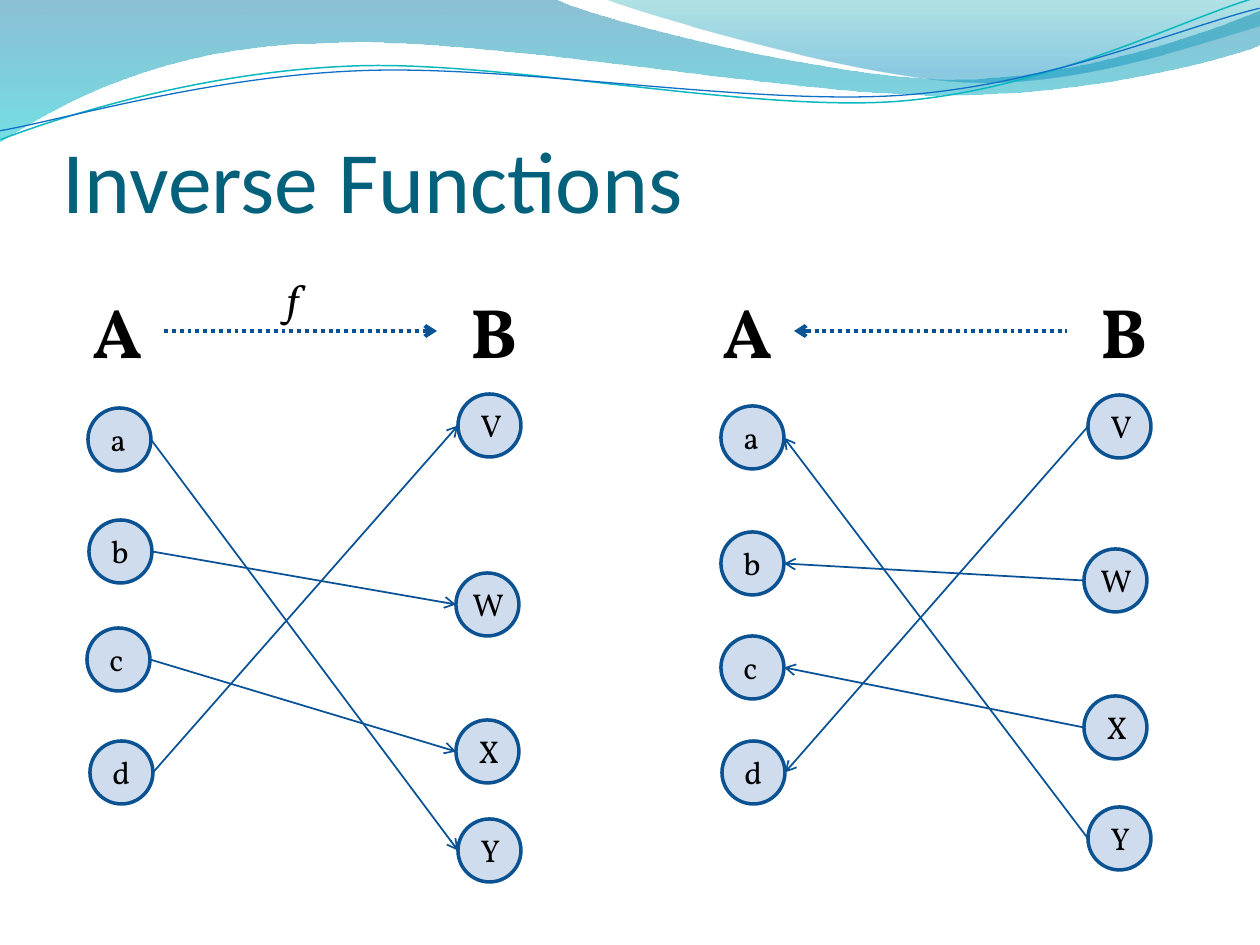
import pptx
import pptx.dml.color
import pptx.enum.dml
import pptx.enum.shapes
import pptx.enum.text
import pptx.oxml
import pptx.oxml.ns
import pptx.util

EMU_PER_PX = 914400 / 126
WIDTH, HEIGHT = 1260, 945
NODE = 63  # circle diameter


def px(value):
    return pptx.util.Emu(round(value * EMU_PER_PX))


def color(hex_string):
    return pptx.dml.color.RGBColor.from_string(hex_string)


def add_xml(parent, tag, **attributes):
    element = pptx.oxml.parse_xml(f"<a:{tag} {pptx.oxml.ns.nsdecls('a')}/>")
    for name, value in attributes.items():
        element.set(name, str(value))
    parent.append(element)
    return element


def set_opacity(shape, percents):
    """Give each fill colour of the shape its opacity, in order."""
    colors = shape._element.spPr.xpath("./a:solidFill/a:srgbClr | ./a:gradFill//a:srgbClr")
    for element, percent in zip(colors, percents):
        add_xml(element, "alpha", val=percent * 1000)


def write(text_frame, text, font="Vollkorn", size=18, fill="000000", bold=False, italic=False):
    paragraph = text_frame.paragraphs[0]
    run = paragraph.add_run()
    run.text = text
    run.font.name = font
    run.font.size = pptx.util.Pt(size)
    run.font.color.rgb = color(fill)
    run.font.bold = bold
    run.font.italic = italic


def bend(shape, segments):
    """Turn each run of three lines that stands for a curve into a cubic curve."""
    lines = iter(shape._element.spPr.xpath(".//a:path/a:lnTo"))
    for segment in segments:
        pieces = [next(lines) for _ in range(len(segment) // 2)]
        if len(pieces) == 3:
            curve = add_xml(pieces[0].getparent(), "cubicBezTo")
            pieces[0].addprevious(curve)
            for piece in pieces:
                curve.append(piece[0])
                piece.getparent().remove(piece)


class SlideBuilder:
    node_fill, node_line, arrow_line = "4F81BD", "0B5292", "095295"

    def __init__(self, slide):
        self.slide = slide

    def outline(self, start, segments, close):
        """Path of segments; two numbers are a line, six a cubic curve."""
        points = [(px(x), px(y)) for segment in segments
                  for x, y in zip(segment[::2], segment[1::2])]
        builder = self.slide.shapes.build_freeform(*map(px, start), scale=1.0)
        builder.add_line_segments(points, close=close)
        shape = builder.convert_to_shape()
        bend(shape, segments)
        shape.shadow.inherit = False
        return shape

    def wave(self, start, segments, stops):
        """Filled wave; stops are (position, colour, opacity)."""
        shape = self.outline(start, segments, close=True)
        shape.line.fill.background()
        shape.fill.gradient()
        shape.fill.gradient_angle = 270
        for stop, (position, hex_string, _) in zip(shape.fill.gradient_stops, stops):
            stop.color.rgb = color(hex_string)
            stop._gs.set("pos", str(position * 1000))
        set_opacity(shape, [opacity for _, _, opacity in stops])

    def ripple(self, start, segments, hex_string, width):
        shape = self.outline(start, segments, close=False)
        shape.rotation = 357.3
        shape.fill.background()
        shape.line.color.rgb = color(hex_string)
        shape.line.width = pptx.util.Pt(width)

    def text(self, left, top, width, height, text, **style):
        box = self.slide.shapes.add_textbox(px(left), px(top), px(width), px(height))
        box.text_frame.word_wrap = True
        write(box.text_frame, text, **style)
        return box.text_frame

    def title(self, text):
        frame = self.text(63, 74, 1134, 157, text, font="Calibri", size=50, fill="04617B")
        frame.margin_left = frame.margin_right = frame.margin_bottom = 0
        frame.vertical_anchor = pptx.enum.text.MSO_ANCHOR.BOTTOM

    def node(self, left, top, label):
        circle = self.slide.shapes.add_shape(
            pptx.enum.shapes.MSO_SHAPE.FLOWCHART_CONNECTOR, px(left), px(top), px(NODE), px(NODE))
        circle.shadow.inherit = False
        circle.fill.solid()
        circle.fill.fore_color.rgb = color(self.node_fill)
        set_opacity(circle, [27])
        circle.line.color.rgb = color(self.node_line)
        circle.line.width = pptx.util.Pt(2)
        inset = 4 if label == "W" else 10
        self.text(left + inset, top + 6, NODE - 2 * inset, 50, label)

    def arrow(self, start, end, arrowhead, width=1, dotted=False):
        """Line with its arrowhead at headEnd (start) or tailEnd (end)."""
        connector = self.slide.shapes.add_connector(
            pptx.enum.shapes.MSO_CONNECTOR.STRAIGHT, *map(px, start + end))
        connector.line.color.rgb = color(self.arrow_line)
        connector.line.width = pptx.util.Pt(width)
        if dotted:
            connector.line.dash_style = pptx.enum.dml.MSO_LINE.ROUND_DOT
        add_xml(connector.line._get_or_add_ln(), arrowhead, type="arrow")
        add_xml(connector._element.spPr, "effectLst")

    def mapping(self, left, set_a, set_b, pairs, arrowhead):
        """Sets A and B with their nodes and the arrows between them."""
        for offset, name in ((0, "A"), (378, "B")):
            self.text(left + offset, 282, 95, 97, name, size=40, bold=True)
        for label, (x, y) in (set_a | set_b).items():
            self.node(x, y, label)
        for source, target in pairs:
            (x1, y1), (x2, y2) = set_a[source], set_b[target]
            self.arrow((x1 + NODE, y1 + NODE / 2), (x2, y2 + NODE / 2), arrowhead)
        self.arrow((left + 84, 331), (left + 357, 331), arrowhead, width=2.25, dotted=True)


def main():
    presentation = pptx.Presentation()
    presentation.slide_width, presentation.slide_height = px(WIDTH), px(HEIGHT)
    builder = SlideBuilder(presentation.slides.add_slide(presentation.slide_layouts[6]))

    # Wave decoration along the top
    builder.wave(
        (0, 0),
        [(554, -1), (600, 21, 837, 79, 955, 79), (1075, 79, 1207, 33, 1260, 11), (1261, 45),
         (1239, 55, 1096, 96, 940, 95), (784, 95, 481, 35, 324, 43), (163, 45, 58, 105, -1, 142)],
        [(0, "0074A1", 45), (100, "00C6CF", 55)])
    builder.wave(
        (604, -1),
        [(641, 14, 859, 78, 969, 82), (1079, 87, 1211, 40, 1260, 26), (1260, 0)],
        [(0, "00A1A9", 30), (80, "008BBF", 45)])
    builder.ripple(
        (-2, 110),
        [(59, 90, 199, 52, 350, 53), (499, 53, 745, 118, 896, 114), (1049, 109, 1184, 45, 1260, 27)],
        "0AB8BF", 0.85)
    builder.ripple(
        (-2, 101),
        [(57, 94, 207, 57, 357, 58), (509, 58, 750, 112, 902, 108), (1052, 104, 1188, 52, 1262, 38)],
        "0F6FC6", 0.75)

    builder.title("Inverse Functions")

    # The function on the left, its inverse on the right
    pairs = [("a", "Y"), ("b", "W"), ("c", "X"), ("d", "V")]
    builder.mapping(
        80,
        {"a": (88, 408), "b": (89, 520), "c": (87, 628), "d": (90, 741)},
        {"V": (458, 394), "W": (456, 573), "X": (456, 720), "Y": (458, 819)},
        pairs, "tailEnd")
    builder.text(274, 267, 73, 63, "f", size=24, italic=True)
    builder.mapping(
        710,
        {"a": (721, 406), "b": (721, 532), "c": (721, 636), "d": (722, 741)},
        {"V": (1088, 395), "W": (1084, 549), "X": (1084, 696), "Y": (1088, 807)},
        pairs, "headEnd")

    presentation.save("out.pptx")


if __name__ == "__main__":
    main()
